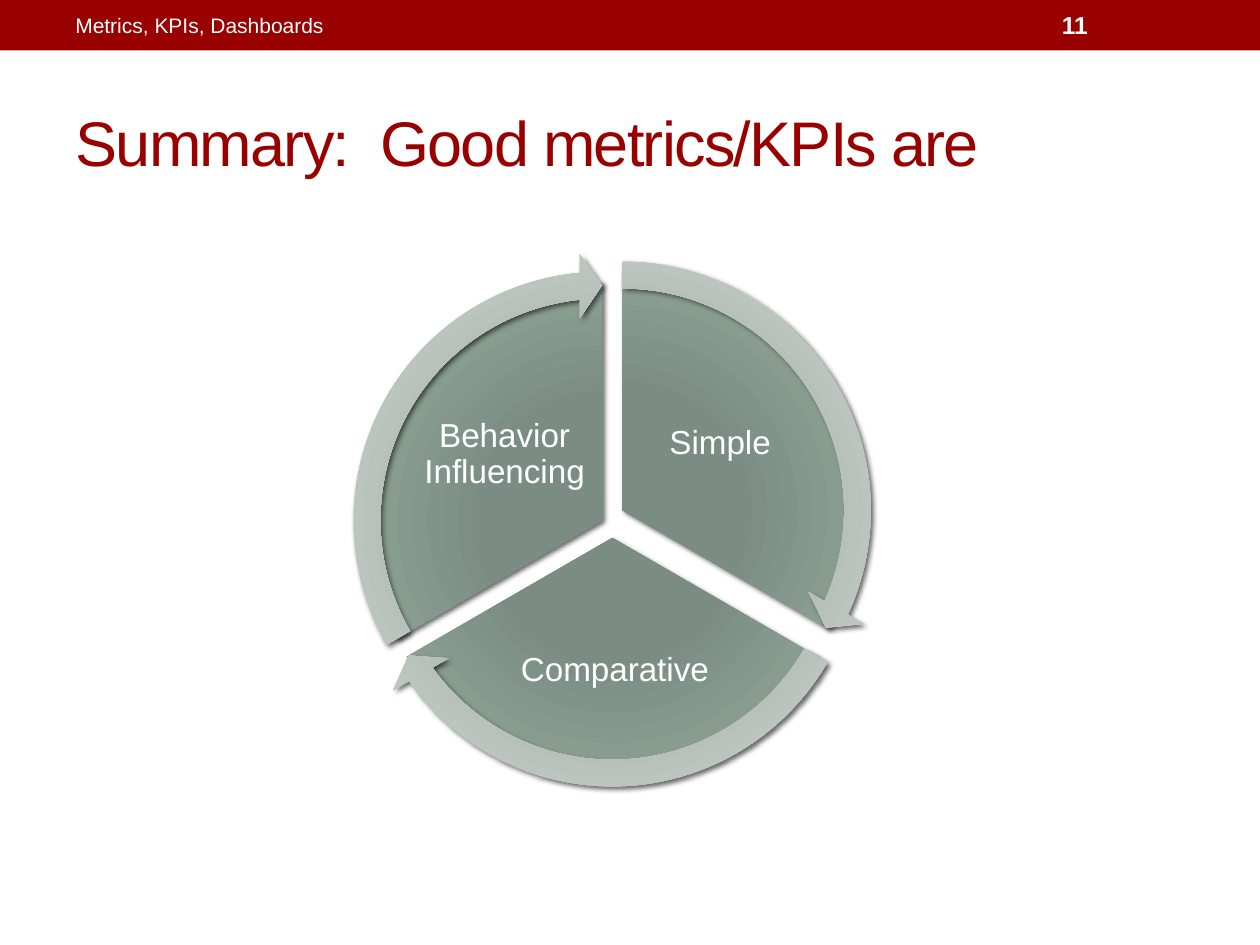
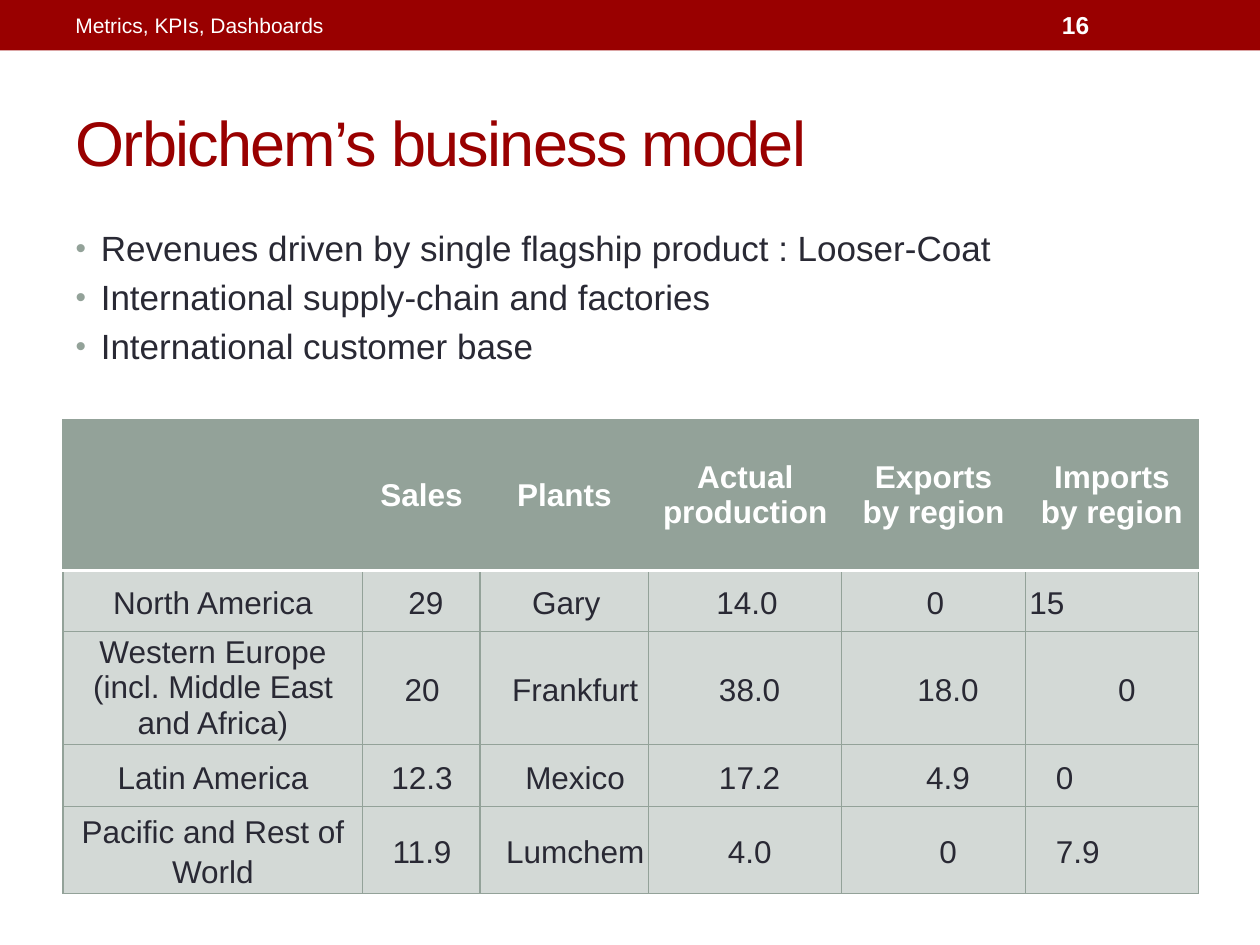
from lxml import etree
from pptx import Presentation
from pptx.dml.color import RGBColor
from pptx.enum import shapes, text
from pptx.oxml import parse_xml
from pptx.oxml.ns import nsdecls, qn
from pptx.util import Inches, Pt

# Colours and type
RED = RGBColor(0x99, 0x00, 0x00)
SAGE = RGBColor(0x93, 0xA2, 0x99)
PALE_SAGE = RGBColor(0xD3, 0xD9, 0xD6)
INK = RGBColor(0x29, 0x29, 0x34)
WHITE = RGBColor(0xFF, 0xFF, 0xFF)
FONT = "Arial"
LEFT, CENTER = text.PP_ALIGN.LEFT, text.PP_ALIGN.CENTER

# Shared content
RUNNING_HEAD = "Metrics, KPIs, Dashboards"

# Summary slide: each quality with its wedge centre and its label box
SUMMARY_TITLE = "Summary:  Good metrics/KPIs are"
QUALITIES = [
    ("Simple", (4.94, 4.05), (5.04, 2.96, 1.35, 1.12)),
    ("Comparative", (4.86, 4.27), (3.87, 4.83, 2.02, 0.99)),
    ("Behavior Influencing", (4.78, 4.13), (3.33, 3.05, 1.35, 1.12)),
]
STOPS = (0, 34, 70, 100)
WEDGE_SHADES = ("7B8E82", "7B8D83", "8A9E92", "93A299")
ARROW_SHADES = ("AAB2AD", "AAB1AD", "BDC6C1", "C8CECA")
WEDGE_SIZE, ARROW_SIZE = 3.77, 4.24
# Angles in units of 100000/60000 degrees, as adjustments count them
FULL_TURN, TOP, ARROW_TIP = 216, 162, 3.27

# Business model slide
MODEL_TITLE = "Orbichem’s business model"
MODEL_POINTS = [
    "Revenues driven by single flagship product : Looser-Coat",
    "International supply-chain and factories",
    "International customer base",
]
HEADINGS = ["", "Sales", "Plants", "Actual production",
            "Exports by region", "Imports by region"]
REGIONS = [
    ("North America", "29", "Gary", "14.0", "0", "15"),
    ("Western Europe (incl. Middle East and Africa)",
     "20", "Frankfurt", "38.0", "18.0", "0"),
    ("Latin America", "12.3", "Mexico", "17.2", "4.9", "0"),
    ("Pacific and Rest of World", "11.9", "Lumchem", "4.0", "0", "7.9"),
]
COLUMN_WIDTHS = (2.38, 0.93, 1.34, 1.53, 1.46, 1.37)
ROW_HEIGHTS = (1.2, 0.48, 0.83, 0.49, 0.65)
FIRST_INDENTS = (0, 0.07, 0.03, 0.03, 0.03, 0.03)
OTHER_INDENTS = (0, 0.01, 0.17, 0.07, 0.23, 0.24)
IMPORTS = len(HEADINGS) - 1
EUROPE = 2


def style(paragraph, size, color, align=LEFT, bold=False):
    paragraph.alignment = align
    font = paragraph.font
    font.name, font.size, font.bold = FONT, Pt(size), bold
    font.color.rgb = color


def place(part, left, top, width, height):
    part.left, part.top = Inches(left), Inches(top)
    part.width, part.height = Inches(width), Inches(height)


def add_label(slide, box, words, size, align=LEFT, bold=False, inset=None):
    frame = slide.shapes.add_textbox(*map(Inches, box)).text_frame
    frame.word_wrap = True
    frame.vertical_anchor = text.MSO_ANCHOR.MIDDLE
    if inset is not None:
        frame.margin_left = frame.margin_right = Inches(inset)
        frame.margin_top = frame.margin_bottom = Inches(inset)
    paragraph = frame.paragraphs[0]
    paragraph.text = words
    style(paragraph, size, WHITE, align, bold)
    return paragraph


def start_slide(deck, layout, heading, number):
    """Slide with the red band, running head, page number and title."""
    slide = deck.slides.add_slide(deck.slide_layouts[layout])
    band = slide.shapes.add_shape(shapes.MSO_SHAPE.RECTANGLE, 0, 0,
                                  deck.slide_width, Inches(0.4))
    band.shadow.inherit = False
    band.fill.solid()
    band.fill.fore_color.rgb = RED
    band.line.fill.background()
    add_label(slide, (0.5, 0.02, 3.17, 0.36), RUNNING_HEAD, 12)
    add_label(slide, (8.33, 0.02, 1.17, 0.36), str(number), 14, bold=True)

    title = slide.shapes.title
    place(title, 0.5, 0.58, 9, 1.08)
    title.text_frame.text = heading
    title.text_frame.auto_size = text.MSO_AUTO_SIZE.NONE
    title.text_frame.vertical_anchor = text.MSO_ANCHOR.MIDDLE
    paragraph = title.text_frame.paragraphs[0]
    style(paragraph, 36, RED)
    paragraph.font._rPr.set("spc", "-100")
    return slide


def add_ring_part(slide, preset, center, size, shades, adjustments):
    """Part of the ring with a radial gradient and a soft shadow."""
    left, top = (middle - size / 2 for middle in center)
    part = slide.shapes.add_shape(preset, *map(Inches, (left, top, size, size)))
    for index, value in enumerate(adjustments):
        part.adjustments[index] = value
    part.line.fill.background()
    part.shadow.inherit = False
    properties = part._element.spPr
    stops = "".join(
        f'<a:gs pos="{stop * 1000}"><a:srgbClr val="{shade}"/></a:gs>'
        for stop, shade in zip(STOPS, shades))
    properties.find(qn("a:prstGeom")).addnext(parse_xml(
        f'<a:gradFill {nsdecls("a")} rotWithShape="1"><a:gsLst>{stops}</a:gsLst>'
        '<a:path path="circle"><a:fillToRect l="100000" t="100000" '
        'r="100000" b="100000"/></a:path></a:gradFill>'))
    properties.find(qn("a:effectLst")).append(parse_xml(
        f'<a:outerShdw {nsdecls("a")} blurRad="{Pt(3)}" dist="{Pt(2)}" '
        'dir="2700000" rotWithShape="0"><a:srgbClr val="000000">'
        '<a:alpha val="60000"/></a:srgbClr></a:outerShdw>'))


def build_summary(deck):
    slide = start_slide(deck, 5, SUMMARY_TITLE, 11)
    step = FULL_TURN / len(QUALITIES)
    starts = [(TOP + step * i) % FULL_TURN for i in range(len(QUALITIES))]
    ends = starts[1:] + starts[:1]

    # Wedges with labels, then the arrows around them
    for (quality, center, box), start, end in zip(QUALITIES, starts, ends):
        add_ring_part(slide, shapes.MSO_SHAPE.PIE, center, WEDGE_SIZE,
                      WEDGE_SHADES, (start, end))
        label = add_label(slide, box, quality, 19, CENTER, inset=0.03)
        label.line_spacing = 0.9
    for (_, center, _), start, end in zip(QUALITIES, starts, ends):
        add_ring_part(slide, shapes.MSO_SHAPE.CIRCULAR_ARROW, center,
                      ARROW_SIZE, ARROW_SHADES,
                      (0.05, ARROW_TIP, end - ARROW_TIP, start, 0.06))


def add_bullet(paragraph):
    properties = paragraph._p.get_or_add_pPr()
    properties.set("marL", str(Inches(0.2)))
    properties.set("indent", str(Inches(-0.2)))
    color = etree.Element(qn("a:buClr"))
    etree.SubElement(color, qn("a:srgbClr"), val=str(SAGE))
    size = etree.Element(qn("a:buSzPct"), val="85000")
    mark = etree.Element(qn("a:buChar"), char="•")
    at = properties.index(properties.find(qn("a:defRPr")))
    properties[at:at] = [color, size, mark]


def set_border(cell, side, color, width):
    cell._tc.get_or_add_tcPr().append(parse_xml(
        f'<a:ln{side} {nsdecls("a")} w="{Pt(width)}"><a:solidFill>'
        f'<a:srgbClr val="{color}"/></a:solidFill></a:ln{side}>'))


def fill_cell(cell, row, column, words):
    header = row == 0
    for side in "LRTB":
        under_header = (row, side) in ((0, "B"), (1, "T"))
        set_border(cell, side, *((WHITE, 2.08) if under_header else (SAGE, 0.75)))
    cell.fill.solid()
    cell.fill.fore_color.rgb = SAGE if header else PALE_SAGE
    cell.vertical_anchor = text.MSO_ANCHOR.MIDDLE
    cell.text = words
    paragraph = cell.text_frame.paragraphs[0]
    if header:
        style(paragraph, 18, WHITE, CENTER, bold=True)
        return
    cell.margin_left = cell.margin_right = Inches(0 if column == IMPORTS else 0.03)
    cell.margin_top = cell.margin_bottom = 0
    to_left = column == IMPORTS and row != EUROPE
    style(paragraph, 18, INK, LEFT if to_left else CENTER)
    paragraph.line_spacing = 1.0 if (row, column) == (EUROPE, 0) else 1.15
    indents = FIRST_INDENTS if row == 1 else OTHER_INDENTS
    paragraph._p.get_or_add_pPr().set("marL", str(Inches(indents[column])))


def build_business_model(deck):
    slide = start_slide(deck, 1, MODEL_TITLE, 16)

    # Bullet list
    points = slide.placeholders[1]
    place(points, 0.5, 1.75, 8.79, 1.58)
    points.text_frame.text = "\n".join(MODEL_POINTS)
    points.text_frame.auto_size = text.MSO_AUTO_SIZE.NONE
    for paragraph in points.text_frame.paragraphs:
        style(paragraph, 20, INK)
        add_bullet(paragraph)

    # Table of regions
    rows = [HEADINGS, *REGIONS]
    regions = slide.shapes.add_table(
        len(rows), len(HEADINGS), Inches(0.5), Inches(3.33),
        Inches(sum(COLUMN_WIDTHS)), Inches(sum(ROW_HEIGHTS))).table
    regions.horz_banding = False
    for column, width in zip(regions.columns, COLUMN_WIDTHS):
        column.width = Inches(width)
    for row, height in zip(regions.rows, ROW_HEIGHTS):
        row.height = Inches(height)
    for r, entries in enumerate(rows):
        for c, words in enumerate(entries):
            fill_cell(regions.cell(r, c), r, c, words)


def main():
    deck = Presentation()
    deck.slide_width, deck.slide_height = Inches(10), Inches(7.5)
    build_summary(deck)
    build_business_model(deck)
    deck.save("out.pptx")


if __name__ == "__main__":
    main()
